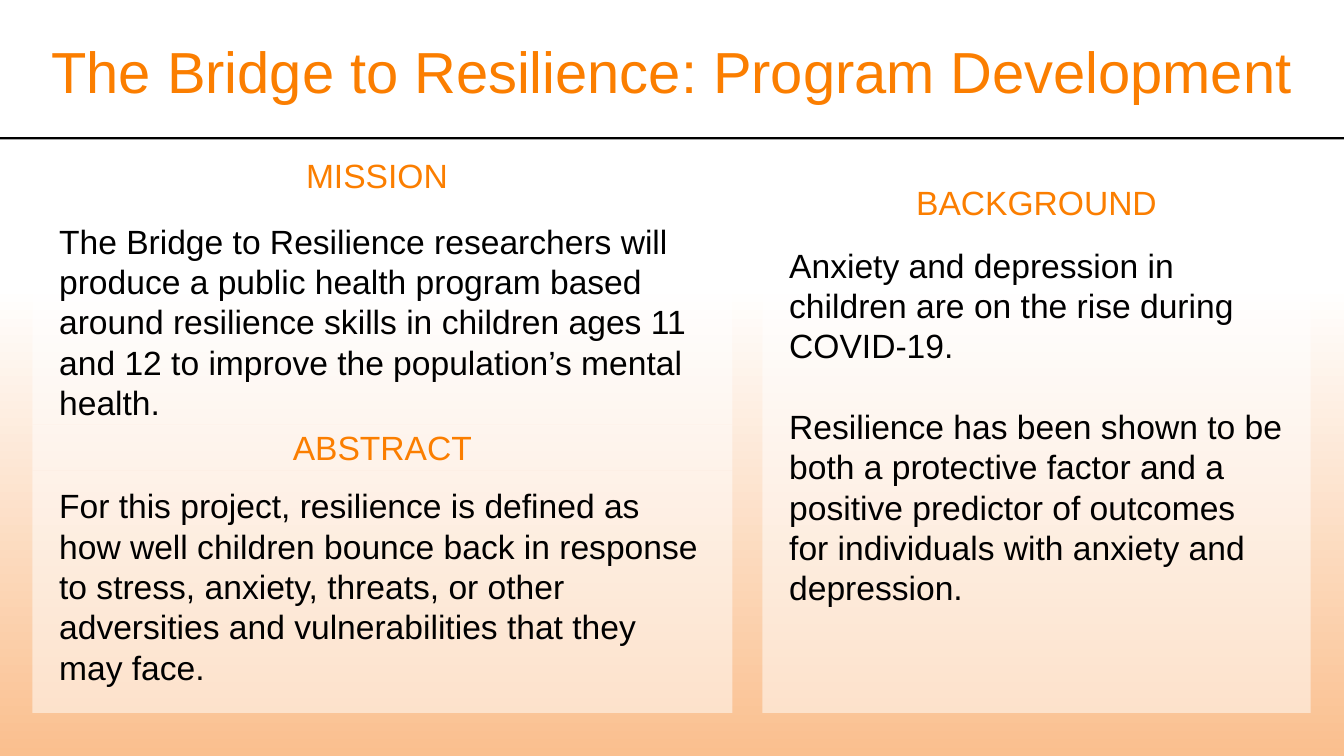
from lxml import etree
from pptx import Presentation
from pptx import util as u
from pptx.dml import color
from pptx.enum import shapes, text
from pptx.oxml import ns

Pt = u.Pt
COLORS = {"accent": "FB7E00", "glow": "FABF8E", "paper": "FFFFFF", "ink": "000000"}
FONT = "Arial"
WIDTH, HEIGHT = 720, 405
LINE_HEIGHT = 21.6
PANEL_WIDTH = 375.1

MISSION = ["The Bridge to Resilience researchers will produce a public health program "
           "based around resilience skills in children ages 11 and 12 to improve the "
           "population’s mental health."]
ABSTRACT = ["For this project, resilience is defined as how well children bounce back "
            "in response to stress, anxiety, threats, or other adversities and "
            "vulnerabilities that they may face."]
BACKGROUND = ["Anxiety and depression in children are on the rise during COVID-19.",
              "Resilience has been shown to be both a protective factor and a positive "
              "predictor of outcomes for individuals with anxiety and depression."]


def rgb(name):
    """Return the named colour."""
    return color.RGBColor.from_string(COLORS[name])


def add_rectangle(slide, box, fill, opacity=100):
    """Add a borderless rectangle with a solid fill."""
    shape = slide.shapes.add_shape(shapes.MSO_SHAPE.RECTANGLE, *map(Pt, box))
    shape.shadow.inherit = False
    shape.line.fill.background()
    shape.fill.solid()
    shape.fill.fore_color.rgb = rgb(fill)
    if opacity < 100:
        swatch = next(shape._element.spPr.iter(ns.qn("a:srgbClr")))
        etree.SubElement(swatch, ns.qn("a:alpha")).set("val", str(opacity * 1000))
    return shape


def set_frame(shape, insets, anchor):
    """Set wrapping, insets and anchor, and return the text frame."""
    frame = shape.text_frame
    frame.word_wrap = True
    frame.auto_size = text.MSO_AUTO_SIZE.NONE
    frame.vertical_anchor = anchor
    frame.margin_left, frame.margin_top, frame.margin_right, frame.margin_bottom = map(Pt, insets)
    return frame


def add_run(paragraph, words, size, ink):
    """Add one run of styled text."""
    run = paragraph.add_run()
    run.text = words
    run.font.name = FONT
    run.font.size = Pt(size)
    run.font.color.rgb = rgb(ink)


def write_heading(shape, words, size):
    """Write centred accent text in a shape."""
    frame = set_frame(shape, (1.4, 0.7, 1.4, 0.7), text.MSO_ANCHOR.MIDDLE)
    paragraph = frame.paragraphs[0]
    paragraph.alignment = text.PP_ALIGN.CENTER
    add_run(paragraph, words, size, "accent")


def add_backdrop(slide, box):
    """Add the gradient that rises from the bottom of the slide."""
    shape = add_rectangle(slide, box, "paper")
    shape.fill.gradient()
    shape.fill.gradient_angle = 90
    for stop, name in zip(shape.fill.gradient_stops, ("glow", "paper")):
        stop.color.rgb = rgb(name)


def add_title(slide, box, words):
    """Add the slide title."""
    write_heading(slide.shapes.add_textbox(*map(Pt, box)), words, 31)


def add_panel(slide, box, heading, heading_height, paragraphs, gap=0, shift=0):
    """Add a translucent heading bar above a translucent body."""
    left, top, width, height = box
    bar = add_rectangle(slide, (left + shift, top, width, heading_height), "paper", 50)
    write_heading(bar, heading, 18)
    offset = heading_height + gap
    body = add_rectangle(slide, (left, top + offset, width, height - offset), "paper", 50)
    frame = set_frame(body, (14.4, 8, 14.4, 14.4), text.MSO_ANCHOR.TOP)
    for index, words in enumerate(paragraphs):
        paragraph = frame.add_paragraph() if index else frame.paragraphs[0]
        paragraph.alignment = text.PP_ALIGN.LEFT
        paragraph.line_spacing = Pt(LINE_HEIGHT)
        paragraph.space_before = Pt(LINE_HEIGHT if index else 0)
        add_run(paragraph, words, 18, "ink")


def main():
    """Build and save the slide."""
    presentation = Presentation()
    presentation.slide_width, presentation.slide_height = Pt(WIDTH), Pt(HEIGHT)
    slide = presentation.slides.add_slide(presentation.slide_layouts[6])
    add_backdrop(slide, (0, 153, WIDTH, HEIGHT - 153))
    add_rectangle(slide, (0, 73.5, WIDTH, 1.2), "ink")
    add_panel(slide, (17.3, 86.4, PANEL_WIDTH, 141.1), "MISSION", 15.1, MISSION,
              gap=8.7, shift=-2.9)
    add_panel(slide, (17.3, 227.5, PANEL_WIDTH, 154.5), "ABSTRACT", 24.5, ABSTRACT)
    add_panel(slide, (408.4, 93.6, 293.8, 288.4), "BACKGROUND", 29.5, BACKGROUND)
    add_title(slide, (17.3, 9.4, 684.7, 56.2), "The Bridge to Resilience: Program Development")
    presentation.save("out.pptx")


if __name__ == "__main__":
    main()
